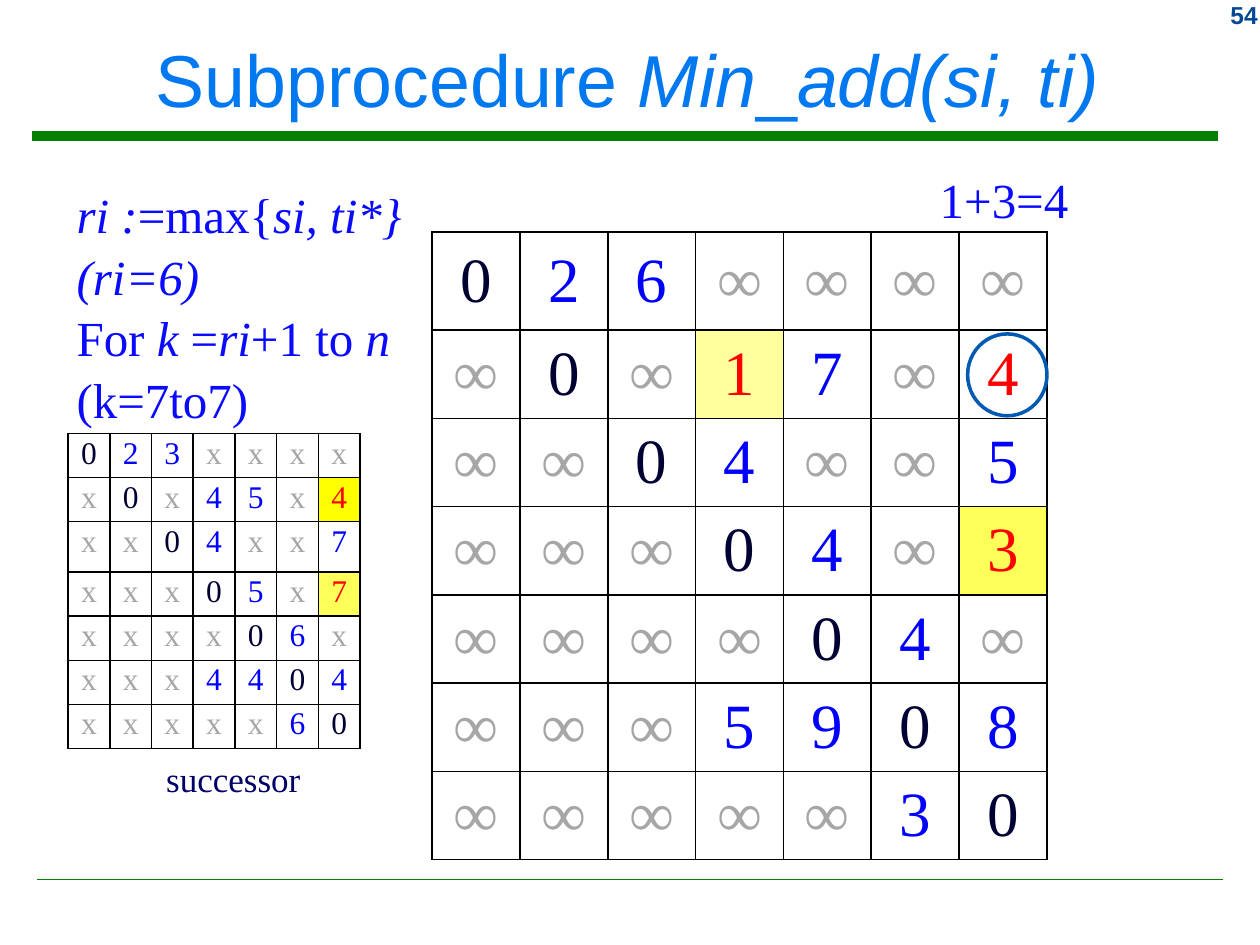
from lxml import etree
from pptx import Presentation
from pptx.dml.color import RGBColor
from pptx.enum.shapes import MSO_CONNECTOR, MSO_SHAPE
from pptx.enum.text import MSO_ANCHOR, MSO_AUTO_SIZE, PP_ALIGN
from pptx.oxml.ns import qn
from pptx.util import Inches, Pt

STRAIGHT = MSO_CONNECTOR.STRAIGHT
OVAL = MSO_SHAPE.OVAL
TOP, MIDDLE = MSO_ANCHOR.TOP, MSO_ANCHOR.MIDDLE
NO_AUTOFIT = MSO_AUTO_SIZE.NONE
LEFT, CENTER, RIGHT = PP_ALIGN.LEFT, PP_ALIGN.CENTER, PP_ALIGN.RIGHT

WHITE = RGBColor(0xFF, 0xFF, 0xFF)
BLACK = RGBColor(0x00, 0x00, 0x00)
GREEN = RGBColor(0x00, 0x80, 0x00)
NUMBER_BLUE = RGBColor(0x00, 0x49, 0x92)
TITLE_BLUE = RGBColor(0x00, 0x78, 0xF0)
TEXT_BLUE = RGBColor(0x0A, 0x0A, 0xFF)
CAPTION_NAVY = RGBColor(0x00, 0x00, 0x66)
RING_BLUE = RGBColor(0x00, 0x59, 0xB2)
DIAGONAL_NAVY = RGBColor(0x00, 0x00, 0x33)
VALUE_BLUE = RGBColor(0x00, 0x00, 0xFF)
EMPTY_GRAY = RGBColor(0xA6, 0xA6, 0xA6)
ACTIVE_RED = RGBColor(0xFF, 0x00, 0x00)
YELLOW = RGBColor(0xFF, 0xFF, 0x00)
SOFT_YELLOW = RGBColor(0xFF, 0xFF, 0x59)
PALE_YELLOW = RGBColor(0xFF, 0xFF, 0x9E)

SANS = "Arial"
SERIF = "Times New Roman"

SUCCESSORS = ["023xxxx", "x0x45x4", "xx04xx7", "xxx05x7",
              "xxxx06x", "xxx4404", "xxxxx60"]
SUCCESSOR_FILLS = {(1, 6): YELLOW, (3, 6): SOFT_YELLOW}
DISTANCES = ["026∞∞∞∞", "∞0∞17∞4", "∞∞04∞∞5", "∞∞∞04∞3",
             "∞∞∞∞04∞", "∞∞∞5908", "∞∞∞∞∞30"]
DISTANCE_FILLS = {(1, 3): PALE_YELLOW, (1, 6): WHITE, (3, 6): SOFT_YELLOW}

TITLE = [("Subprocedure ", False), ("Min", True), ("_", False), ("add(si, ti)", True)]
STEPS = [
    [("ri :", True), ("=max{", False), ("si, ti*}", True)],
    [("(ri=6)", True)],
    [("For ", False), ("k ", True), ("=", False), ("ri", True),
     ("+1 to ", False), ("n", True)],
    [("(k=7to7)", False)],
]


def add_run(paragraph, text, font_name, size, color, italic=False, bold=False):
    """Append one formatted run to a paragraph."""
    run = paragraph.add_run()
    run.text = text
    font = run.font
    font.name, font.size = font_name, Pt(size)
    font.italic, font.bold = italic, bold
    font.color.rgb = color


def add_text(slide, box, lines, font_name, size, color,
             align=LEFT, bold=False, wrap=True, spacing=1.05):
    """Add a text box whose lines are lists of (text, italic) runs."""
    frame = slide.shapes.add_textbox(*map(Inches, box)).text_frame
    frame.word_wrap = wrap
    for index, line in enumerate(lines):
        paragraph = frame.add_paragraph() if index else frame.paragraphs[0]
        paragraph.alignment = align
        paragraph.line_spacing = spacing
        for text, italic in line:
            add_run(paragraph, text, font_name, size, color, italic, bold)


def add_title(slide, box):
    """Place and fill the title placeholder."""
    title = slide.shapes.title
    title.left, title.top, title.width, title.height = map(Inches, box)
    frame = title.text_frame
    frame.auto_size = NO_AUTOFIT
    frame.vertical_anchor = MIDDLE
    paragraph = frame.paragraphs[0]
    paragraph.alignment = CENTER
    for text, italic in TITLE:
        add_run(paragraph, text, SANS, 42, TITLE_BLUE, italic)


def add_rule(slide, left, top, width, weight):
    """Draw a horizontal green rule."""
    rule = slide.shapes.add_connector(
        STRAIGHT, Inches(left), Inches(top), Inches(left + width), Inches(top))
    rule.line.color.rgb = GREEN
    rule.line.width = Pt(weight)
    etree.SubElement(rule._element.spPr, qn("a:effectLst"))


def add_borders(cell):
    """Give a cell thin black borders on all four sides."""
    properties = cell._tc.get_or_add_tcPr()
    for side in ("a:lnL", "a:lnR", "a:lnT", "a:lnB"):
        border = etree.SubElement(properties, qn(side), w=str(Pt(1)))
        fill = etree.SubElement(border, qn("a:solidFill"))
        etree.SubElement(fill, qn("a:srgbClr"), val=str(BLACK))


def value_color(value, active):
    """Choose the text colour of a matrix entry."""
    if active:
        return ACTIVE_RED
    return {"0": DIAGONAL_NAVY, "x": EMPTY_GRAY, "∞": EMPTY_GRAY}.get(value, VALUE_BLUE)


def add_matrix(slide, box, values, fills, size, tall_row, heights, anchor, margins):
    """Add a square matrix table; cells listed in fills are active."""
    count = len(values)
    table = slide.shapes.add_table(count, count, *map(Inches, box)).table
    table.first_row = table.horz_banding = False
    for column in table.columns:
        column.width = Inches(box[2] / count)
    row_height, tall_height = heights
    for row_index, row_values in enumerate(values):
        table.rows[row_index].height = Inches(
            tall_height if row_index == tall_row else row_height)
        for column_index, value in enumerate(row_values):
            position = (row_index, column_index)
            cell = table.cell(*position)
            add_borders(cell)
            cell.fill.solid()
            cell.fill.fore_color.rgb = fills.get(position, WHITE)
            cell.vertical_anchor = anchor
            cell.margin_left = cell.margin_right = Inches(margins[0])
            cell.margin_top = cell.margin_bottom = Inches(margins[1])
            paragraph = cell.text_frame.paragraphs[0]
            paragraph.alignment = CENTER
            add_run(paragraph, value, SERIF, size, value_color(value, position in fills))


def add_ring(slide, box):
    """Circle the updated distance."""
    ring = slide.shapes.add_shape(OVAL, *map(Inches, box))
    ring.shadow.inherit = False
    ring.fill.background()
    ring.line.color.rgb = RING_BLUE
    ring.line.width = Pt(2)


def main():
    """Build the slide and save it."""
    presentation = Presentation()
    presentation.slide_width, presentation.slide_height = Inches(10), Inches(7.5)
    slide = presentation.slides.add_slide(presentation.slide_layouts[5])
    add_rule(slide, 0.25, 1.08, 9.42, 5.25)
    add_rule(slide, 0.29, 6.98, 9.42, 1)
    add_text(slide, (9.17, -0.05, 0.91, 0.33), [[("54", False)]], SANS, 14,
             NUMBER_BLUE, align=RIGHT, bold=True, spacing=1.0)
    add_title(slide, (0.08, 0.09, 9.8, 1.06))
    add_text(slide, (1.22, 5.95, 1.28, 0.44), [[("successor", False)]],
             SERIF, 20, CAPTION_NAVY, wrap=False)
    add_text(slide, (0.51, 1.39, 3.23, 1.99), STEPS, SERIF, 28, TEXT_BLUE)
    add_text(slide, (7.36, 1.27, 2.28, 0.57), [[("1+3=4", False)]],
             SERIF, 28, TEXT_BLUE)
    add_matrix(slide, (0.54, 3.44, 2.32, 2.51), SUCCESSORS, SUCCESSOR_FILLS,
               18, 2, (0.35, 0.4), TOP, (0.05, 0.02))
    add_matrix(slide, (3.43, 1.84, 4.88, 4.98), DISTANCES, DISTANCE_FILLS,
               36, 0, (0.7, 0.78), MIDDLE, (0.1, 0.05))
    add_ring(slide, (7.68, 2.65, 0.63, 0.65))
    presentation.save("out.pptx")


if __name__ == "__main__":
    main()
